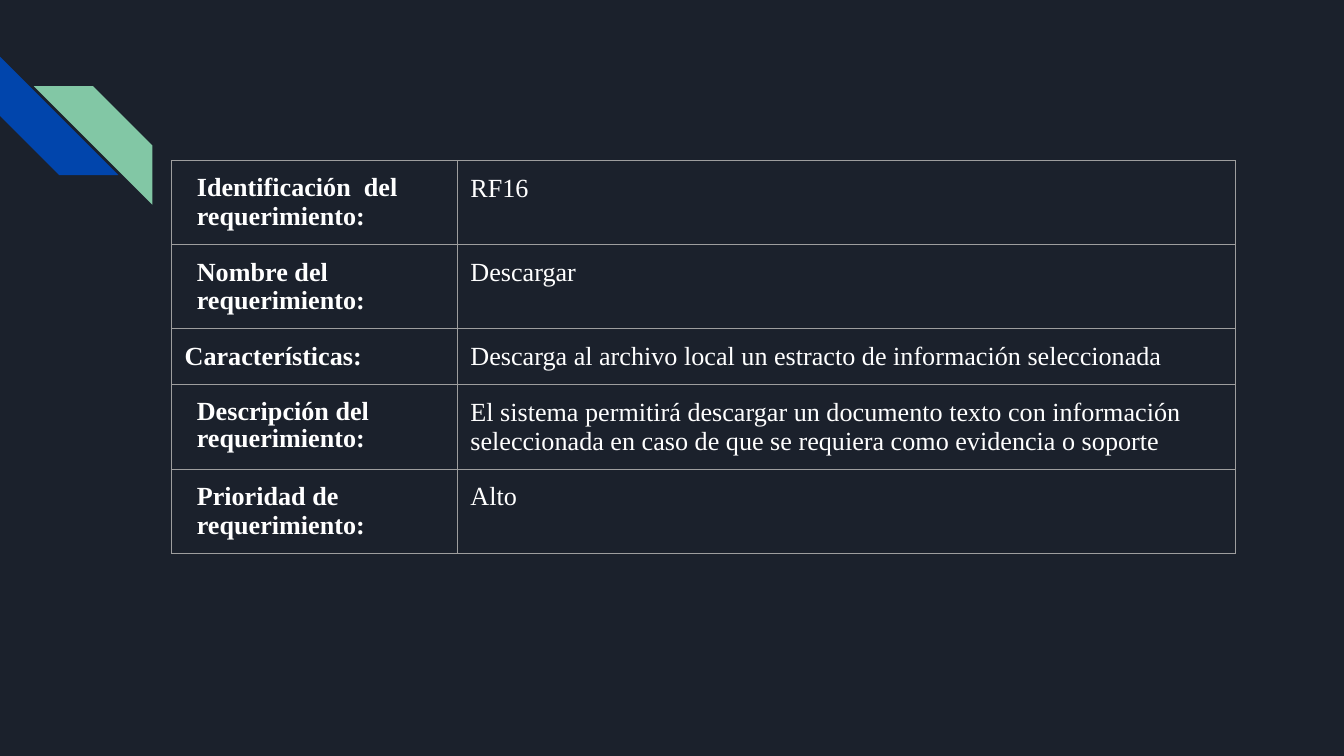
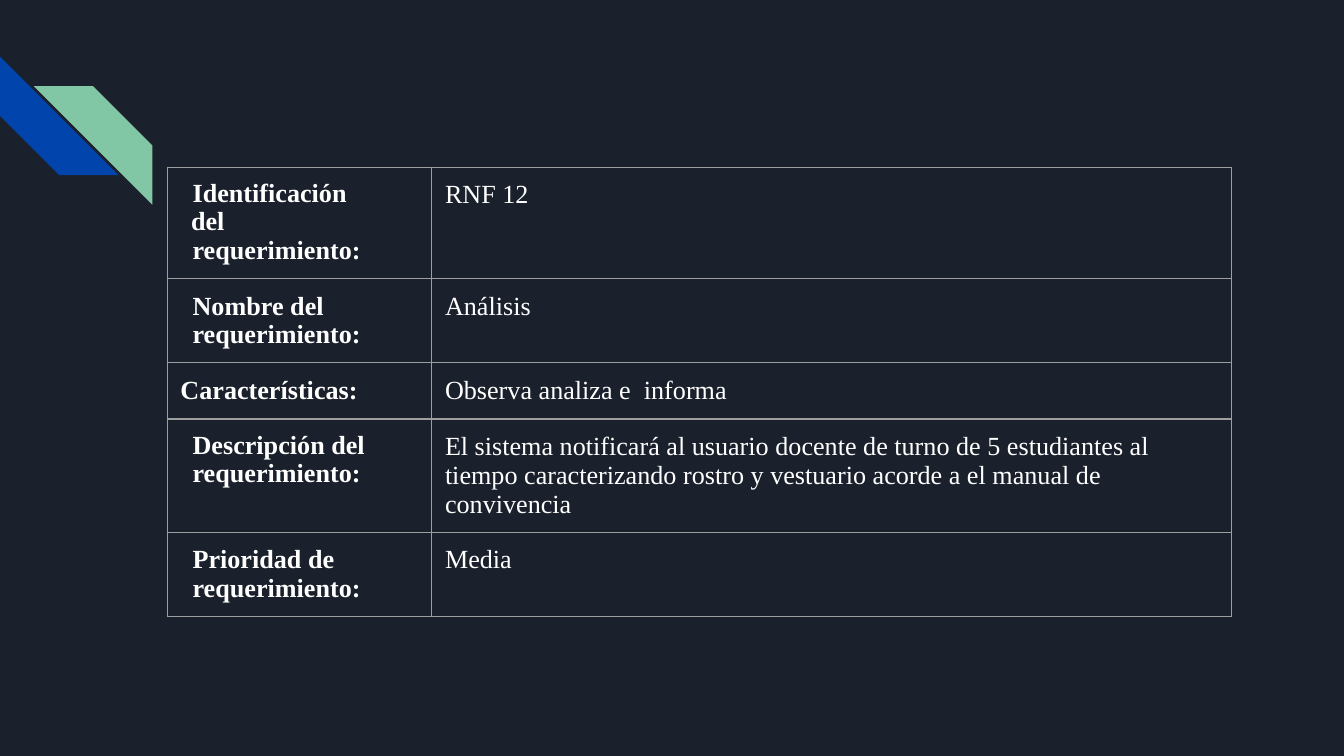
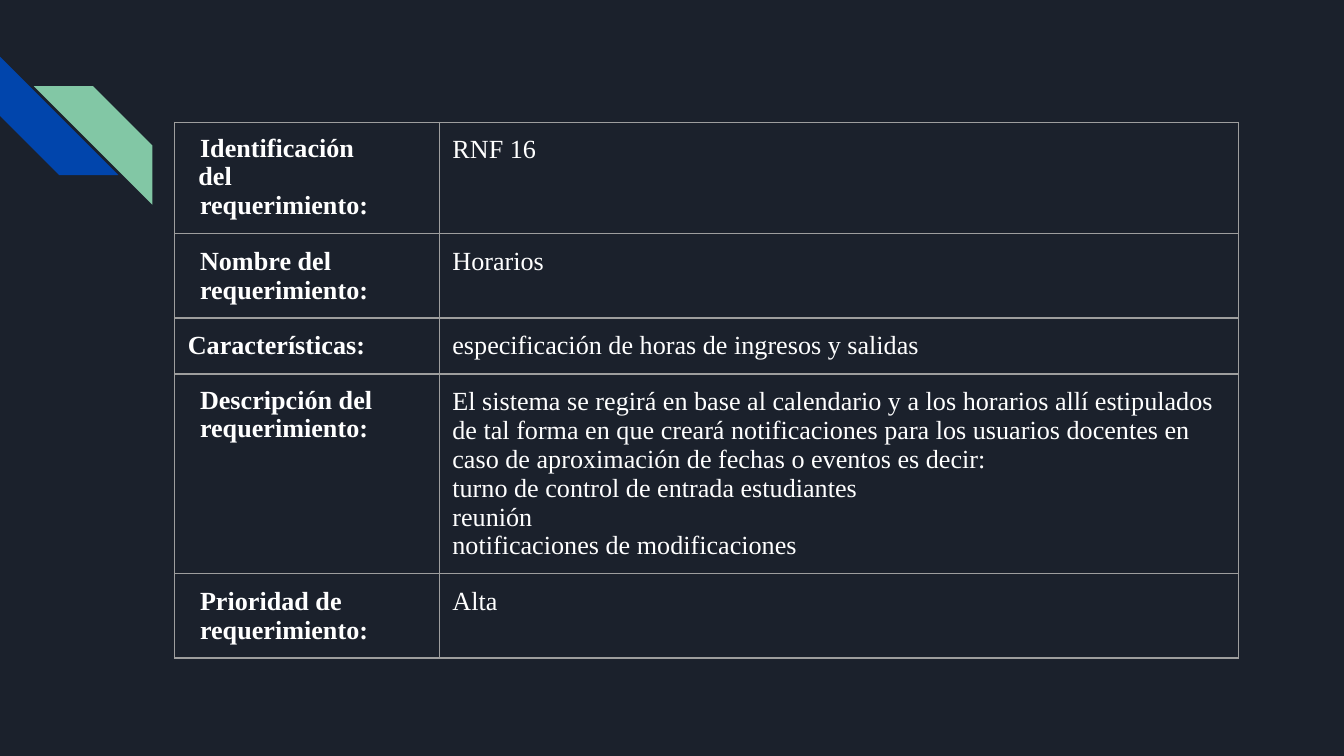
from lxml.etree import SubElement
from pptx import Presentation
from pptx.dml.color import RGBColor
from pptx.enum.shapes import MSO_SHAPE as Shape
from pptx.oxml.ns import qn
from pptx.util import Cm, Pt

# Shared style
NIGHT = RGBColor(0x1B, 0x21, 0x2C)
BLUE = RGBColor(0x01, 0x45, 0xAC)
GREEN = RGBColor(0x82, 0xC7, 0xA5)
GREY = RGBColor(0x9E, 0x9E, 0x9E)
WHITE = RGBColor(0xFF, 0xFF, 0xFF)
FONT = {"name": "Times New Roman", "size": Pt(14)}
MARGINS = {"margin_" + side: Cm(0.25) for side in ("left", "right", "top", "bottom")}
STRIPE_SIZE = Cm(2.24)
ROW_HEIGHT = Cm(1.06)

# Paragraph formats of the label column
PLAIN = {}
INDENTED = {"left": Cm(0.23)}
TIGHT = {"left": Cm(0.23), "line_spacing": 0.96}
FIRST = {"left": Cm(0.2), "right": Cm(0.7), "first": Cm(0.03), "line_spacing": 0.96}
SPACED = {"left": Cm(0.23), "space_before": Pt(0.3)}
INDENT_ATTRS = {"left": "marL", "right": "marR", "first": "indent"}

LABELS = [
    [("Identificación  del", FIRST), ("requerimiento:", SPACED)],
    [("Nombre del", INDENTED), ("requerimiento:", INDENTED)],
    [("Características:", PLAIN)],
    [("Descripción del  requerimiento:", TIGHT)],
    [("Prioridad de", INDENTED), ("requerimiento:", INDENTED)],
]

# Requirements: table position, column widths and one value per label
WIDE_LABELS = (Cm(5.4), Cm(14.71))
NARROW_LABELS = (Cm(5), Cm(15.11))
REQUIREMENTS = [
    (Cm(3.24), Cm(3.04), WIDE_LABELS, [
        ["RF16"],
        ["Descargar"],
        ["Descarga al archivo local un estracto de información seleccionada"],
        ["El sistema permitirá descargar un documento texto con información "
         "seleccionada en caso de que se requiera como evidencia o soporte"],
        ["Alto"],
    ]),
    (Cm(3.16), Cm(3.16), NARROW_LABELS, [
        ["RNF 12"],
        ["Análisis"],
        ["Observa analiza e  informa"],
        ["El sistema notificará al usuario docente de turno de 5 estudiantes al "
         "tiempo caracterizando rostro y vestuario acorde a el manual de convivencia"],
        ["Media"],
    ]),
    (Cm(3.3), Cm(2.31), NARROW_LABELS, [
        ["RNF 16"],
        ["Horarios"],
        ["especificación de horas de ingresos y salidas"],
        ["El sistema se regirá en base al calendario y a los horarios allí estipulados "
         "de tal forma en que creará notificaciones para los usuarios docentes en "
         "caso de aproximación de fechas o eventos es decir:",
         "turno de control de entrada estudiantes",
         "reunión",
         "notificaciones de modificaciones"],
        ["Alta"],
    ]),
]


class Deck:
    """Holds the presentation, its style and the current slide."""

    def __init__(self):
        self.prs = Presentation()
        self.prs.slide_width, self.prs.slide_height = Cm(25.4), Cm(14.29)
        self.layout = self.prs.slide_layouts[6]
        fill = self.layout.background.fill
        fill.solid()
        fill.fore_color.rgb = NIGHT
        self.slide = None

    def new_slide(self):
        self.slide = self.prs.slides.add_slide(self.layout)

    def layout_stripe(self, number, left, top, color, rotation=0, flip=False):
        """Draw a stripe and hand it to the layout, so every slide shows it."""
        s = self.slide.shapes.add_shape(
            Shape.DIAGONAL_STRIPE, left, top, STRIPE_SIZE, STRIPE_SIZE)
        s.adjustments[0] = 0.5
        s.rotation = rotation
        s.shadow.inherit = False
        s.fill.solid()
        s.fill.fore_color.rgb = color
        s.line.fill.background()
        if flip:
            s.element.spPr.find(qn("a:xfrm")).set("flipH", "1")
        s.name = f"Stripe {number}"
        s.element.nvSpPr.cNvPr.set("id", str(10 + number))
        self.layout.shapes.element.append(s.element)

    def borders(self, cell):
        tc_pr = cell._tc.get_or_add_tcPr()
        for i, tag in enumerate(("a:lnL", "a:lnR", "a:lnT", "a:lnB")):
            ln = SubElement(tc_pr, qn(tag), w=str(Pt(0.75)))
            fill = SubElement(ln, qn("a:solidFill"))
            SubElement(fill, qn("a:srgbClr"), val=str(GREY))
            tc_pr.insert(i, ln)

    def paragraph(self, p, text, fmt, bold):
        for key, value in fmt.items():
            if key in INDENT_ATTRS:
                p._p.get_or_add_pPr().set(INDENT_ATTRS[key], str(int(value)))
            else:
                setattr(p, key, value)
        r = p.add_run()
        r.text = text
        for key, value in {**FONT, "bold": bold}.items():
            setattr(r.font, key, value)
        r.font.color.rgb = WHITE

    def cell(self, cell, lines, bold):
        for key, value in MARGINS.items():
            setattr(cell, key, value)
        cell.fill.background()
        self.borders(cell)
        tf = cell.text_frame
        for i, (text, fmt) in enumerate(lines):
            p = tf.add_paragraph() if i else tf.paragraphs[0]
            self.paragraph(p, text, fmt, bold)

    def requirement_table(self, left, top, widths, values):
        table = self.slide.shapes.add_table(
            len(LABELS), len(widths), left, top, sum(widths),
            ROW_HEIGHT * len(LABELS)).table
        table.first_row = table.horz_banding = False
        for column, width in zip(table.columns, widths):
            column.width = width
        for row, label, value in zip(table.rows, LABELS, values):
            row.height = ROW_HEIGHT
            self.cell(row.cells[0], label, True)
            self.cell(row.cells[1], [(text, PLAIN) for text in value], False)


def main():
    deck = Deck()
    for i, requirement in enumerate(REQUIREMENTS):
        deck.new_slide()
        if i == 0:
            deck.layout_stripe(1, Cm(0), Cm(1.07), BLUE, rotation=270)
            deck.layout_stripe(2, Cm(0.64), Cm(1.63), GREEN, flip=True)
        deck.requirement_table(*requirement)
    deck.prs.save("out.pptx")


if __name__ == "__main__":
    main()
